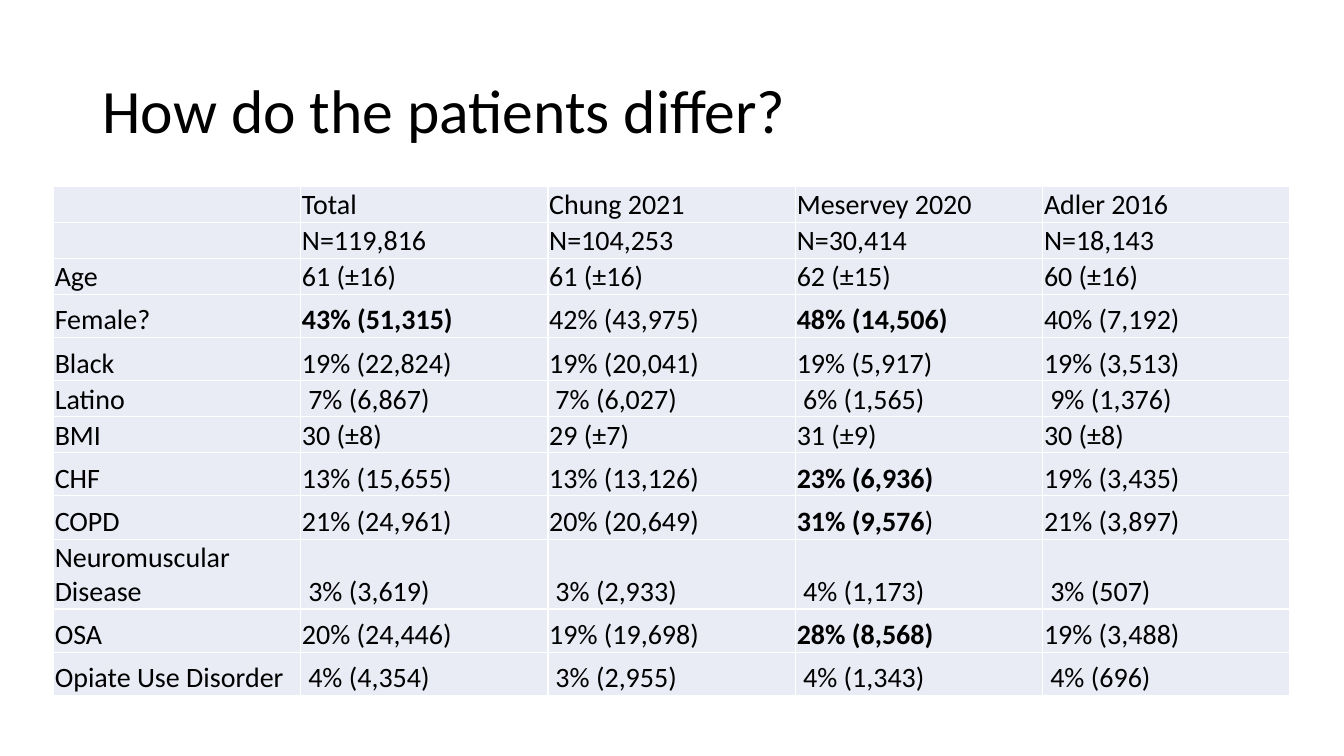
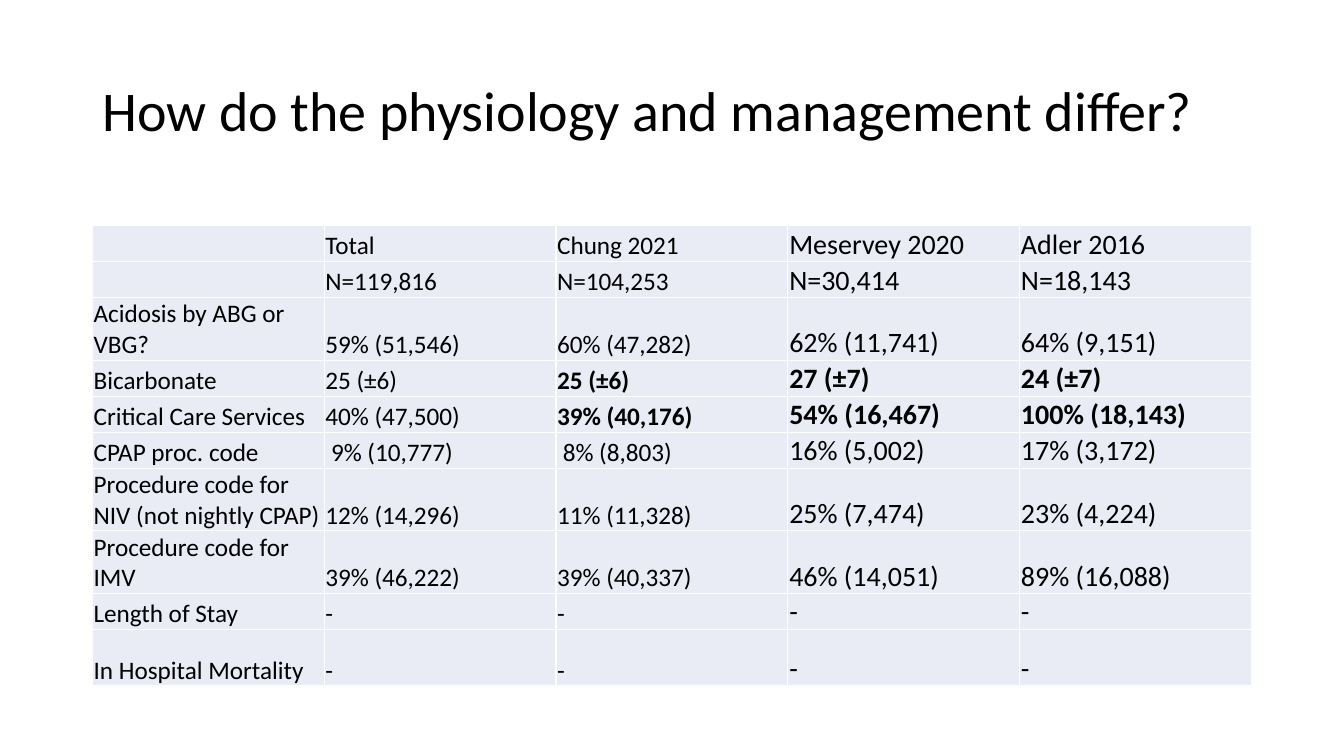
from lxml import etree
from pptx import Presentation
from pptx import util as u
from pptx.dml.color import RGBColor
from pptx.enum import text
from pptx.oxml.ns import qn

COLORS = {"ink": "000000", "cell": "E9EBF5", "border": "FFFFFF"}
FONT = "Calibri"
SPACE_WIDTH = 0.226  # share of the font size

STUDY_ROWS = [
    ("", "Total", "Chung 2021", "Meservey 2020", "Adler 2016"),
    ("", "N=119,816", "N=104,253", "N=30,414", "N=18,143"),
]

# Asterisks enclose bold text.
PATIENT_ROWS = [
    ("Age", "61 (±16)", "61 (±16)", "62 (±15)", "60 (±16)"),
    ("Female?", "*43% (51,315)*", "42% (43,975)", "*48% (14,506)*", "40% (7,192)"),
    ("Black", "19% (22,824)", "19% (20,041)", "19% (5,917)", "19% (3,513)"),
    ("Latino", "7% (6,867)", "7% (6,027)", "6% (1,565)", "9% (1,376)"),
    ("BMI", "30 (±8)", "29 (±7)", "31 (±9)", "30 (±8)"),
    ("CHF", "13% (15,655)", "13% (13,126)", "*23% (6,936)*", "19% (3,435)"),
    ("COPD", "21% (24,961)", "20% (20,649)", "*31% (9,576*)", "21% (3,897)"),
    ("Neuromuscular Disease", "3% (3,619)", "3% (2,933)", "4% (1,173)", "3% (507)"),
    ("OSA", "20% (24,446)", "19% (19,698)", "*28% (8,568)*", "19% (3,488)"),
    ("Opiate Use Disorder", "4% (4,354)", "3% (2,955)", "4% (1,343)", "4% (696)"),
]
PATIENT_HEIGHTS = [0.86, 0.86, 0.86, 1.09, 1.09, 0.86, 0.86, 1.09, 1.09, 1.7, 1.09, 1.09]

MANAGEMENT_ROWS = [
    ("Acidosis by ABG or VBG?", "59% (51,546)", "60% (47,282)", "62% (11,741)", "64% (9,151)"),
    ("Bicarbonate", "25 (±6)", "*25 (±6)*", "*27 (±7)*", "*24 (±7)*"),
    ("Critical Care Services", "40% (47,500)", "*39% (40,176)*", "*54% (16,467)*",
     "*100% (18,143)*"),
    ("CPAP proc. code", "9% (10,777)", "8% (8,803)", "16% (5,002)", "17% (3,172)"),
    ("Procedure code for NIV (not nightly CPAP)", "12% (14,296)", "11% (11,328)",
     "25% (7,474)", "23% (4,224)"),
    ("Procedure code for IMV", "39% (46,222)", "39% (40,337)", "46% (14,051)", "89% (16,088)"),
    ("Length of Stay", "-", "-", "-", "-"),
    ("In Hospital Mortality", "-", "-", "-", "-"),
]
MANAGEMENT_HEIGHTS = [0.84, 0.84, 1.45, 0.84, 0.84, 0.84, 1.45, 1.45, 0.82, 1.42]


def format_font(font, size, bold=False):
    font.name = FONT
    font.size = u.Pt(size)
    font.bold = bold
    font.color.rgb = RGBColor.from_string(COLORS["ink"])


def add_titled_page(deck, title, size, width):
    page = deck.slides.add_slide(deck.slide_layouts[5])
    box = page.shapes.title
    box.left, box.top, box.width, box.height = u.Cm(2.33), u.Cm(1.01), u.Cm(width), u.Cm(3.68)
    frame = box.text_frame
    frame.text = title
    frame.word_wrap = True
    frame.auto_size = text.MSO_AUTO_SIZE.NONE
    frame.vertical_anchor = text.MSO_ANCHOR.MIDDLE
    para = frame.paragraphs[0]
    para.alignment = text.PP_ALIGN.LEFT
    para.line_spacing = 0.9
    format_font(para.runs[0].font, size)
    return page


def set_borders(cell):
    properties = cell._tc.get_or_add_tcPr()
    for side in ("lnL", "lnR", "lnT", "lnB"):
        line = etree.SubElement(properties, qn("a:" + side), w=str(u.Pt(1)))
        fill = etree.SubElement(line, qn("a:solidFill"))
        etree.SubElement(fill, qn("a:srgbClr"), val=COLORS["border"])


def fill_cell(cell, content, size, margin):
    """Write the content; one-digit percentages are indented by a space's width."""
    set_borders(cell)
    cell.fill.solid()
    cell.fill.fore_color.rgb = RGBColor.from_string(COLORS["cell"])
    cell.vertical_anchor = text.MSO_ANCHOR.BOTTOM
    cell.margin_left = cell.margin_right = cell.margin_top = u.Cm(margin)
    cell.margin_bottom = 0
    if content[1:2] == "%":
        cell.margin_left = u.Cm(margin) + u.Pt(size * SPACE_WIDTH)
    para = cell.text_frame.paragraphs[0]
    for index, part in enumerate(content.split("*")):
        if part:
            span = para.add_run()
            span.text = part
            format_font(span.font, size, bold=index % 2 == 1)


def add_study_table(page, rows, heights, sizes, left, top, column_width):
    """Add a table; sizes holds one font size per column."""
    rows = STUDY_ROWS + rows
    frame = page.shapes.add_table(len(rows), len(sizes), u.Cm(left), u.Cm(top),
                                  u.Cm(column_width * len(sizes)), u.Cm(sum(heights)))
    table = frame.table
    table.first_row = table.horz_banding = False
    for column in table.columns:
        column.width = u.Cm(column_width)
    for row, height, contents in zip(table.rows, heights, rows):
        row.height = u.Cm(height)
        for index, (cell, content) in enumerate(zip(row.cells, contents)):
            fill_cell(cell, content, sizes[index], 0.03 if index < 3 else 0.04)


def main():
    deck = Presentation()
    deck.slide_width, deck.slide_height = u.Cm(33.87), u.Cm(19.05)

    page = add_titled_page(deck, "How do the patients differ?", 44, 29.21)
    add_study_table(page, PATIENT_ROWS, PATIENT_HEIGHTS, [20] * 5, 1.35, 4.7, 6.23)

    page = add_titled_page(deck, "How do the physiology and management differ?", 40, 31.06)
    add_study_table(page, MANAGEMENT_ROWS, MANAGEMENT_HEIGHTS, [18] * 3 + [20] * 2,
                    2.33, 5.69, 5.84)

    deck.save("out.pptx")


if __name__ == "__main__":
    main()
